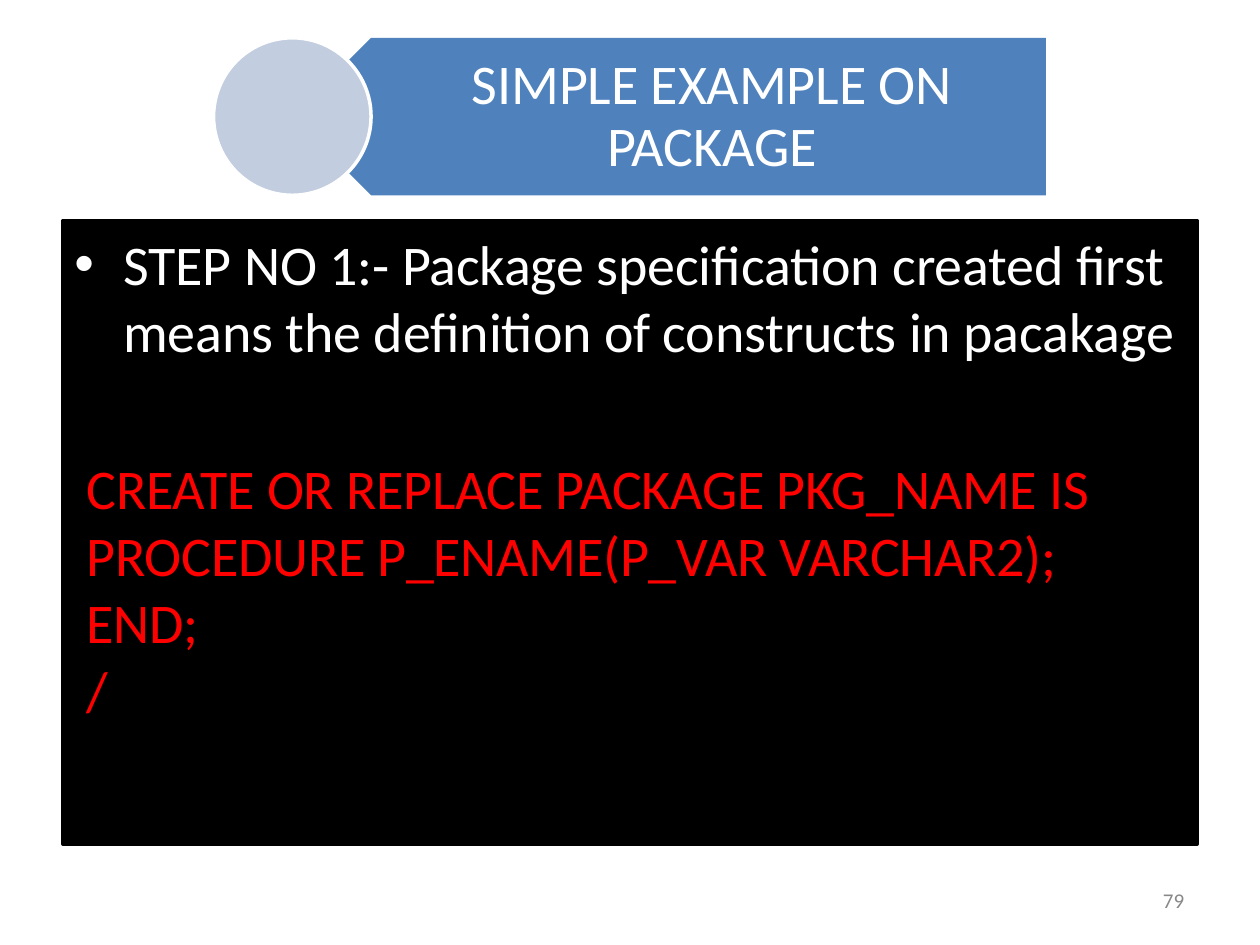
from dataclasses import dataclass

from pptx import Presentation
from pptx.dml.color import RGBColor
from pptx.enum.shapes import MSO_SHAPE
from pptx.enum.text import PP_ALIGN
from pptx.oxml.xmlchemy import OxmlElement
from pptx.util import Inches, Pt

OVAL, RECT = MSO_SHAPE.OVAL, MSO_SHAPE.RECTANGLE
LEFT, CENTER = PP_ALIGN.LEFT, PP_ALIGN.CENTER


@dataclass(frozen=True)
class Theme:
    font: str = "Calibri"
    blue: str = "4F81BC"
    pale: str = "C2CDE0"
    black: str = "000000"
    white: str = "FFFFFF"
    red: str = "FF0000"
    gray: str = "888888"
    big: int = 32
    small: int = 12
    edge: int = 2


def write(frame, lines, *, font, size, color, align=LEFT, lead=None,
          indent=0, bullet=None, track=0):
    """Fill a text frame, one paragraph for each line."""
    frame.word_wrap = True
    frame.margin_left = frame.margin_right = 0
    frame.margin_top = frame.margin_bottom = 0
    for i, line in enumerate(lines):
        para = frame.paragraphs[0] if i == 0 else frame.add_paragraph()
        para.text = line
        para.alignment = align
        if lead:
            para.line_spacing = Pt(lead)
        props = para._p.get_or_add_pPr()
        props.set("marL", str(Inches(indent)))
        if bullet:
            props.set("indent", str(-Inches(indent)))
            face = OxmlElement("a:buFont")
            face.set("typeface", "Arial")
            mark = OxmlElement("a:buChar")
            mark.set("char", bullet)
            props.extend([face, mark])
        for run in para.runs:
            run.font.name = font
            run.font.size = Pt(size)
            run.font.color.rgb = RGBColor.from_string(color)
            run._r.get_or_add_rPr().set("spc", str(int(track * 100)))


class Deck:
    def __init__(self, theme):
        self.theme = theme
        self.file = Presentation()
        self.file.slide_width = Inches(10)
        self.file.slide_height = Inches(7.5)
        self.slide = self.file.slides.add_slide(self.file.slide_layouts[6])

    def paint(self, shape, fill, line=None):
        shape.shadow.inherit = False
        shape.fill.solid()
        shape.fill.fore_color.rgb = RGBColor.from_string(fill)
        if line:
            shape.line.color.rgb = RGBColor.from_string(line)
            shape.line.width = Pt(self.theme.edge)
        else:
            shape.line.fill.background()

    def shape(self, kind, box, fill, line=None):
        item = self.slide.shapes.add_shape(kind, *map(Inches, box))
        self.paint(item, fill, line)

    def outline(self, points, fill):
        first, *rest = [(Inches(x), Inches(y)) for x, y in points]
        pen = self.slide.shapes.build_freeform(*first)
        pen.add_line_segments(rest, close=True)
        self.paint(pen.convert_to_shape(), fill)

    def text(self, box, lines, color, size=None, **style):
        item = self.slide.shapes.add_textbox(*map(Inches, box))
        write(item.text_frame, lines, font=self.theme.font,
              size=size or self.theme.big, color=color, **style)


def main():
    theme = Theme()
    deck = Deck(theme)

    # Title banner with a circle over its point
    top, side, tip, right = 0.3, 1.25, 2.32, 8.3
    half = side / 2
    deck.outline([(right, top), (tip + half, top), (tip, top + half),
                  (tip + half, top + side), (right, top + side)], theme.blue)
    deck.shape(OVAL, (tip - half, top, side, side), theme.pale, theme.white)
    deck.text((3.1, 0.43, 5.1, 1), ["SIMPLE EXAMPLE ON\vPACKAGE"],
              theme.white, align=CENTER, lead=35.2, track=-0.1)

    # Black panel with the step and its code
    deck.shape(RECT, (0.5, 1.75, 9, 4.95), theme.black, theme.black)
    deck.text((0.59, 1.82, 8.9, 1.1),
              ["STEP NO 1:- Package specification created first\v"
               "means the definition of constructs in pacakage"],
              theme.white, indent=0.39, bullet="•", track=-0.1)
    deck.text((0.68, 3.6, 8.6, 2.16),
              ["CREATE OR REPLACE PACKAGE PKG_NAME IS",
               "PROCEDURE P_ENAME(P_VAR VARCHAR2);", "END;", "/"],
              theme.red, indent=0.01, track=-0.2)

    # Page number
    deck.text((9.2, 7.07, 0.23, 0.19), ["79"], theme.gray, theme.small,
              lead=12.4, indent=0.03)

    deck.file.save("out.pptx")


if __name__ == "__main__":
    main()
